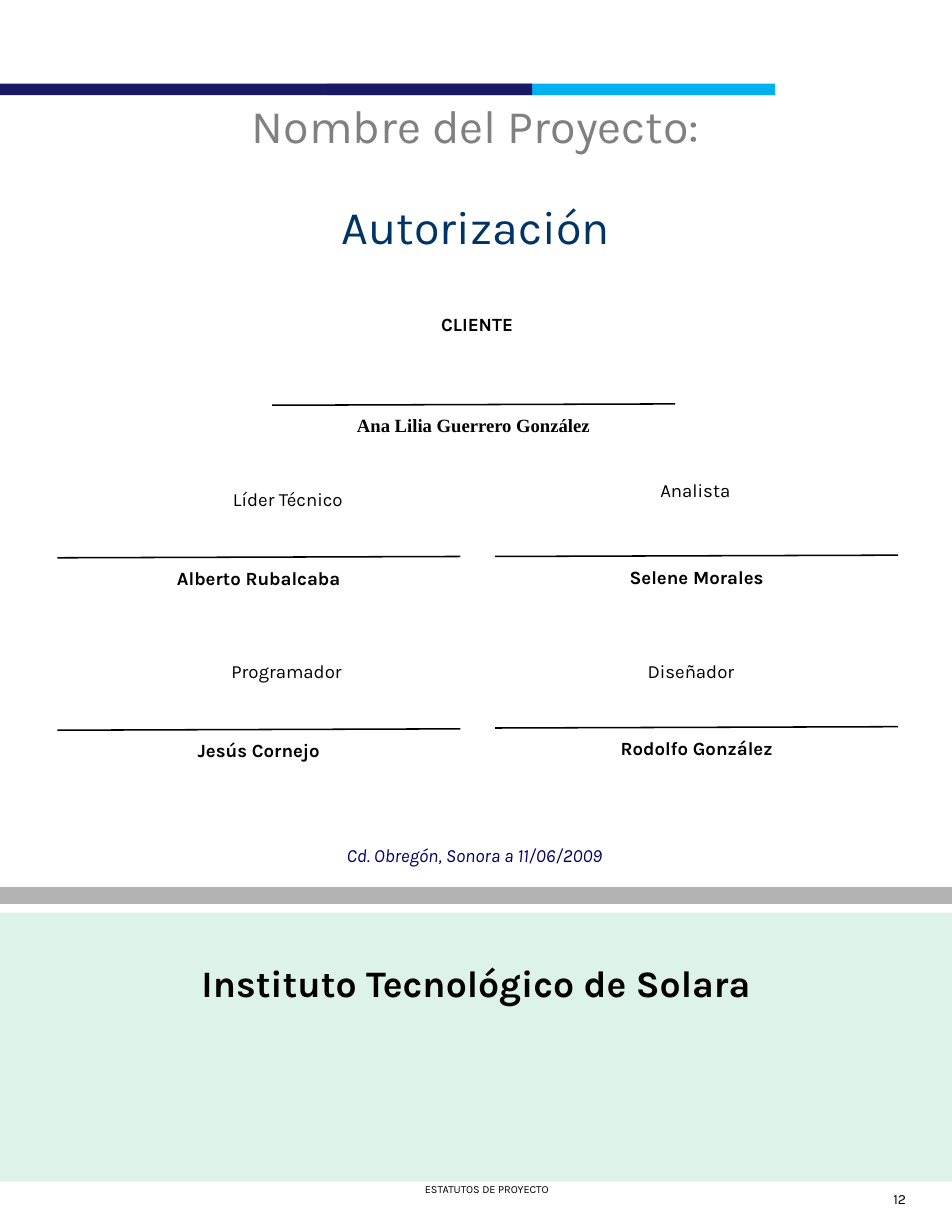
from dataclasses import dataclass

from lxml import etree
from pptx import Presentation
from pptx.dml.color import RGBColor
from pptx.enum.shapes import MSO_CONNECTOR, MSO_SHAPE
from pptx.enum.text import MSO_ANCHOR, PP_ALIGN
from pptx.oxml.ns import qn
from pptx.util import Cm, Pt

RECTANGLE = MSO_SHAPE.RECTANGLE
STRAIGHT = MSO_CONNECTOR.STRAIGHT
TOP, BOTTOM = MSO_ANCHOR.TOP, MSO_ANCHOR.BOTTOM
CENTER, RIGHT = PP_ALIGN.CENTER, PP_ALIGN.RIGHT

PAGE_WIDTH, PAGE_HEIGHT = 21.59, 27.94
FIELD_WIDTH, FIELD_HEIGHT = 9.14, 0.76
LINE_RISE = 0.03
NAME_GAP = 0.08
BLACK = "000000"


@dataclass
class Band:
    """A plain coloured rectangle, in centimetres."""
    left: float
    top: float
    width: float
    height: float
    color: str


@dataclass
class Label:
    """A one-paragraph text box, in centimetres."""
    text: str
    left: float
    top: float
    width: float = FIELD_WIDTH
    height: float = FIELD_HEIGHT
    size: float = 12
    color: str = BLACK
    bold: bool = False
    italic: bool = False
    font: str = "Karla"
    align: PP_ALIGN = CENTER


@dataclass
class Signature:
    """A role, the line to sign on and the signer's name."""
    role: str
    role_left: float
    role_top: float
    name: str
    line_left: float
    line_top: float
    bold_role: bool = False
    name_font: str = "Karla"


BANDS = [
    Band(7.42, 1.9, 10.16, 0.26, "00B0F0"),
    Band(0, 1.9, 12.07, 0.26, "191966"),
    Band(0, 20.7, PAGE_WIDTH, 6.1, "DDF3EA"),
    Band(0, 20.12, PAGE_WIDTH, 0.38, "B3B3B3"),
]
SIGNATURES = [
    Signature("CLIENTE", 6.25, 6.96, "Ana Lilia Guerrero González", 6.17, 9.19,
              True, "Times New Roman"),
    Signature("Líder Técnico", 1.96, 10.95, "Alberto Rubalcaba", 1.3, 12.65),
    Signature("Analista", 11.2, 10.74, "Selene Morales", 11.23, 12.62),
    Signature("Programador", 1.93, 14.83, "Jesús Cornejo", 1.3, 16.56),
    Signature("Diseñador", 11.1, 14.83, "Rodolfo González", 11.23, 16.51),
]
LABELS = [
    Label("Instituto Tecnológico de Solara", 0, 21.64, PAGE_WIDTH, 1.25,
          size=24, bold=True),
    Label("Cd. Obregón, Sonora a 11/06/2009", 5.33, 19.02, 10.87,
          color="000066", italic=True),
    Label("ESTATUTOS DE PROYECTO", 7.32, 26.7, 7.44, 0.56, size=7),
    Label("12", 19.53, 26.87, 1.27, 0.64, size=9, align=RIGHT),
]


def rgb(color: str) -> RGBColor:
    """Turn a hex string into a colour."""
    return RGBColor.from_string(color)


def add_band(page, band: Band) -> None:
    """Draw a rectangle without outline or shadow."""
    shape = page.shapes.add_shape(RECTANGLE, Cm(band.left), Cm(band.top),
                                  Cm(band.width), Cm(band.height))
    shape.shadow.inherit = False
    shape.fill.solid()
    shape.fill.fore_color.rgb = rgb(band.color)
    shape.line.fill.background()


def add_box(page, left: float, top: float, width: float, height: float, anchor):
    """Add a wrapping text box and return its text frame."""
    box = page.shapes.add_textbox(Cm(left), Cm(top), Cm(width), Cm(height))
    frame = box.text_frame
    frame.word_wrap = True
    frame.vertical_anchor = anchor
    return frame


def write(para, label: Label) -> None:
    """Write a label's text and format into a paragraph."""
    para.alignment = label.align
    span = para.add_run()
    span.text = label.text
    formats = {"name": label.font, "size": Pt(label.size),
               "bold": label.bold, "italic": label.italic}
    for attribute, value in formats.items():
        setattr(span.font, attribute, value)
    span.font.color.rgb = rgb(label.color)


def add_label(page, label: Label) -> None:
    """Draw a one-paragraph text box."""
    frame = add_box(page, label.left, label.top, label.width, label.height, TOP)
    write(frame.paragraphs[0], label)


def add_signature(page, signature: Signature) -> None:
    """Draw a role, its signing line and the name below."""
    left, top = signature.line_left, signature.line_top
    add_label(page, Label(signature.role, signature.role_left,
                          signature.role_top, bold=signature.bold_role))
    line = page.shapes.add_connector(STRAIGHT, Cm(left), Cm(top),
                                     Cm(left + FIELD_WIDTH), Cm(top - LINE_RISE))
    line.line.color.rgb = rgb(BLACK)
    line.line.width = Pt(1)
    etree.SubElement(line._element.spPr, qn("a:effectLst"))
    add_label(page, Label(signature.name, left, top + NAME_GAP,
                          bold=True, font=signature.name_font))


def add_title(page) -> None:
    """Draw the two-line heading."""
    left, top, width, height = 0, 2.46, PAGE_WIDTH, 3.43
    frame = add_box(page, left, top, width, height, BOTTOM)
    lines = [("Nombre del Proyecto:", "808080", 0),
             ("Autorización", "003366", 32)]
    for index, (text, color, space) in enumerate(lines):
        para = frame.add_paragraph() if index else frame.paragraphs[0]
        para.line_spacing = 0.9
        para.space_before = Pt(space)
        write(para, Label(text, left, top, size=30, color=color))


def main() -> None:
    """Build and save the authorisation page."""
    deck = Presentation()
    deck.slide_width, deck.slide_height = Cm(PAGE_WIDTH), Cm(PAGE_HEIGHT)
    page = deck.slides.add_slide(deck.slide_layouts[6])
    for band in BANDS:
        add_band(page, band)
    add_title(page)
    for signature in SIGNATURES:
        add_signature(page, signature)
    for label in LABELS:
        add_label(page, label)
    deck.save("out.pptx")


main()
